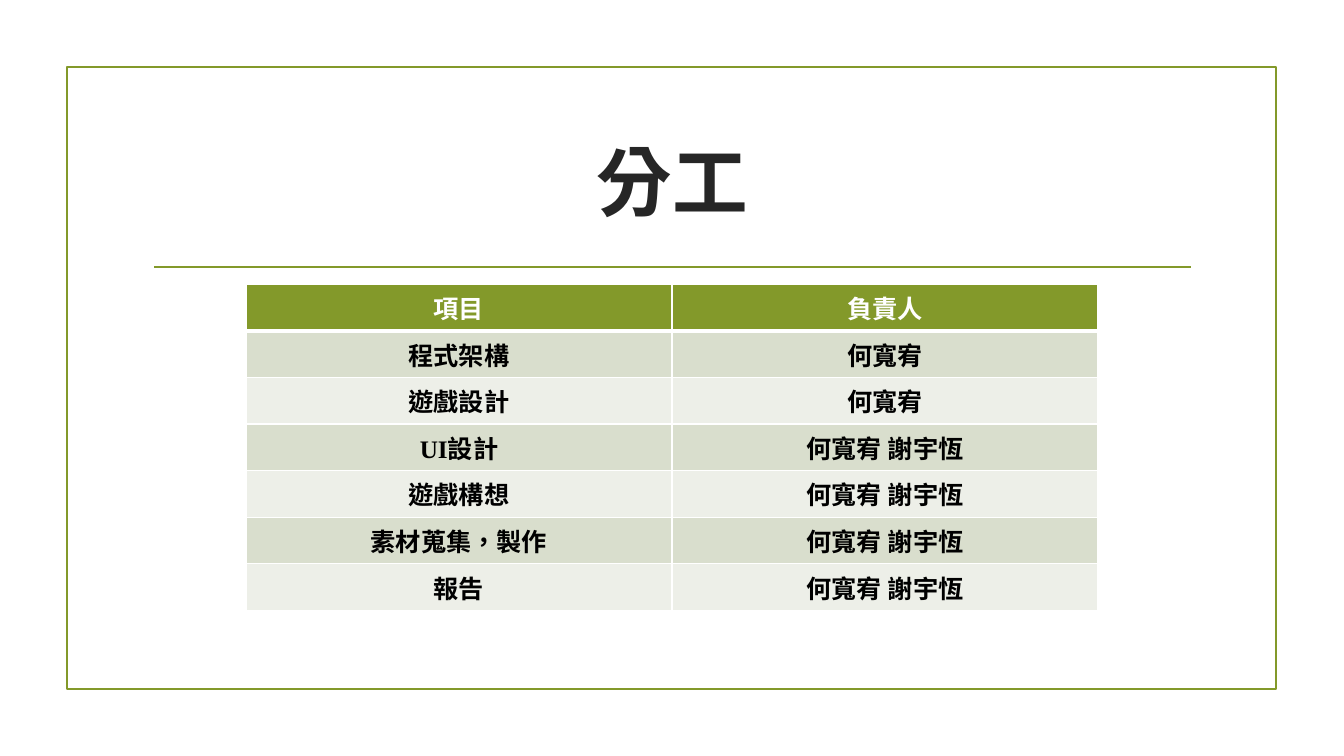
from dataclasses import dataclass

from lxml import etree
from pptx import Presentation
from pptx.dml.color import RGBColor
from pptx.enum.shapes import MSO_CONNECTOR, MSO_SHAPE
from pptx.enum.text import MSO_ANCHOR, MSO_AUTO_SIZE, PP_ALIGN
from pptx.oxml.ns import qn
from pptx.util import Inches, Pt

RECTANGLE = MSO_SHAPE.RECTANGLE
STRAIGHT = MSO_CONNECTOR.STRAIGHT
MIDDLE = MSO_ANCHOR.MIDDLE
CENTER = PP_ALIGN.CENTER
NO_AUTOFIT = MSO_AUTO_SIZE.NONE

GREEN = RGBColor(0x83, 0x99, 0x2A)
DARK_BAND = RGBColor(0xD9, 0xDE, 0xCD)
LIGHT_BAND = RGBColor(0xED, 0xEF, 0xE8)
CHARCOAL = RGBColor(0x26, 0x26, 0x26)
BLACK = RGBColor(0, 0, 0)
WHITE = RGBColor(0xFF, 0xFF, 0xFF)

FONT_NAME = "Times New Roman"
LANGUAGE = "zh-TW"
SLIDE_WIDTH = Inches(13.33)
SLIDE_HEIGHT = Inches(7.5)
RULE_WIDTH = Pt(1.25)


@dataclass(frozen=True)
class Area:
    left: float
    top: float
    width: float
    height: float

    def lengths(self) -> tuple[int, int, int, int]:
        return (
            int(SLIDE_WIDTH * self.left / 100),
            int(SLIDE_HEIGHT * self.top / 100),
            int(SLIDE_WIDTH * self.width / 100),
            int(SLIDE_HEIGHT * self.height / 100),
        )


@dataclass(frozen=True)
class Duty:
    item: str
    owner: str


FRAME_AREA = Area(4.97, 8.9, 90, 82.27)
DIVIDER_AREA = Area(11.48, 35.33, 77.12, 0)
TITLE_AREA = Area(10.65, 14.27, 78.77, 19.07)
TABLE_AREA = Area(18.3, 37.6, 63.4, 37.87)

SOLO = "何寬宥"
PAIR = "何寬宥 謝宇恆"
DUTIES = (
    Duty("項目", "負責人"),
    Duty("程式架構", SOLO),
    Duty("遊戲設計", SOLO),
    Duty("UI設計", PAIR),
    Duty("遊戲構想", PAIR),
    Duty("素材蒐集，製作", PAIR),
    Duty("報告", PAIR),
)


def add_text(text_frame, text: str, size: int, color: RGBColor) -> None:
    paragraph = text_frame.paragraphs[0]
    paragraph.alignment = CENTER
    run = paragraph.add_run()
    run.text = text
    run.font.size = Pt(size)
    run.font.bold = True
    run.font.color.rgb = color
    run.font.name = FONT_NAME
    run._r.get_or_add_rPr().set("lang", LANGUAGE)


def add_frame(slide) -> None:
    frame = slide.shapes.add_shape(RECTANGLE, *FRAME_AREA.lengths())
    frame.shadow.inherit = False
    frame.fill.background()
    frame.line.color.rgb = GREEN
    frame.line.width = RULE_WIDTH


def add_divider(slide) -> None:
    left, top, width, height = DIVIDER_AREA.lengths()
    divider = slide.shapes.add_connector(STRAIGHT, left, top, left + width, top + height)
    divider.line.color.rgb = GREEN
    divider.line.width = RULE_WIDTH
    etree.SubElement(divider._element.spPr, qn("a:effectLst"))


def place_title(slide, text: str) -> None:
    title = slide.shapes.title
    title.left, title.top, title.width, title.height = TITLE_AREA.lengths()
    title.text_frame.auto_size = NO_AUTOFIT
    title.text_frame.vertical_anchor = MIDDLE
    add_text(title.text_frame, text, 54, CHARCOAL)
    slide.shapes._spTree.append(title._element)


def set_borders(cell, top: int, bottom: int) -> None:
    properties = cell._tc.get_or_add_tcPr()
    widths = {"lnL": 1, "lnR": 1, "lnT": top, "lnB": bottom}
    for position, (side, width) in enumerate(widths.items()):
        border = etree.Element(qn(f"a:{side}"), w=str(Pt(width)))
        fill = etree.SubElement(border, qn("a:solidFill"))
        etree.SubElement(fill, qn("a:srgbClr"), val=str(WHITE))
        properties.insert(position, border)


def add_duty_table(slide) -> None:
    table = slide.shapes.add_table(len(DUTIES), 2, *TABLE_AREA.lengths()).table
    for row, duty in enumerate(DUTIES):
        is_header = row == 0
        band = DARK_BAND if row % 2 else LIGHT_BAND
        for column, text in enumerate((duty.item, duty.owner)):
            cell = table.cell(row, column)
            cell.fill.solid()
            cell.fill.fore_color.rgb = GREEN if is_header else band
            set_borders(cell, top=3 if row == 1 else 1, bottom=3 if is_header else 1)
            add_text(cell.text_frame, text, 18, WHITE if is_header else BLACK)


def main() -> None:
    presentation = Presentation()
    presentation.slide_width = SLIDE_WIDTH
    presentation.slide_height = SLIDE_HEIGHT
    slide = presentation.slides.add_slide(presentation.slide_layouts[5])
    add_frame(slide)
    add_divider(slide)
    place_title(slide, "分工")
    add_duty_table(slide)
    presentation.save("out.pptx")


if __name__ == "__main__":
    main()
